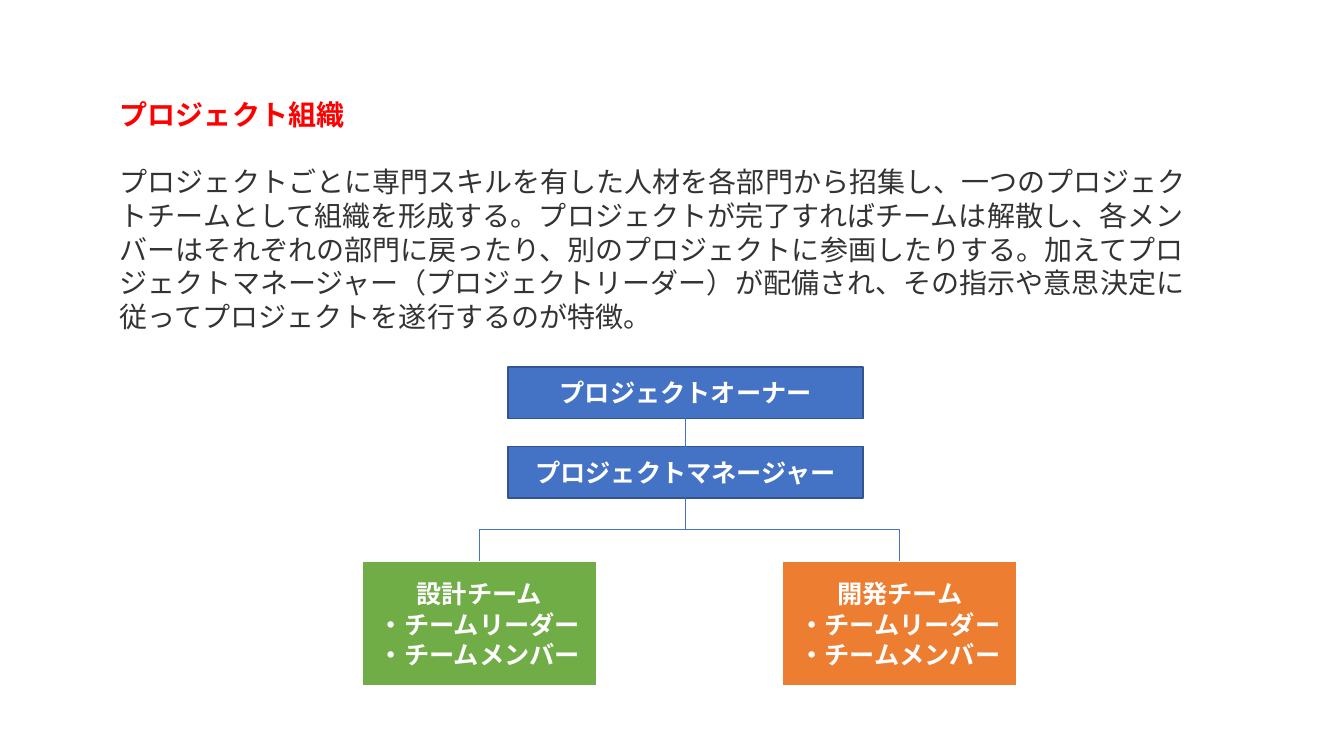
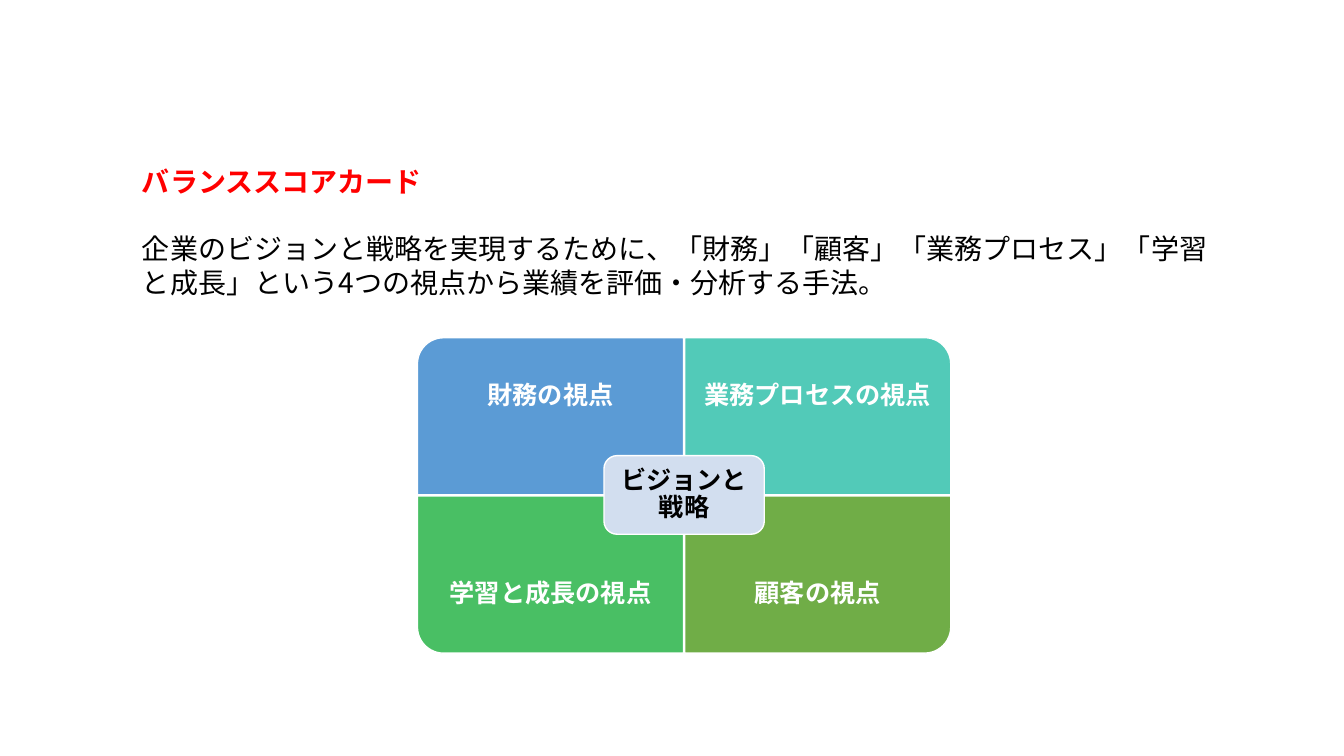
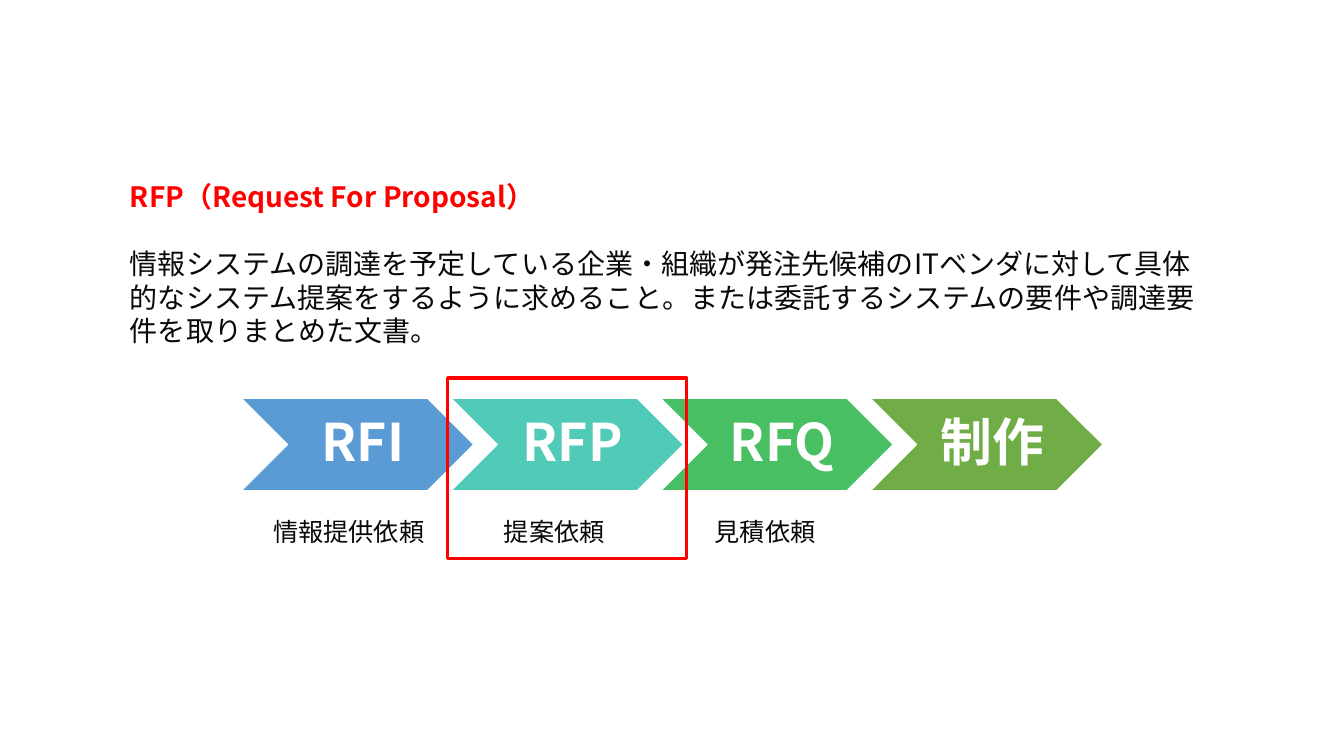
from dataclasses import dataclass

from lxml import etree
from pptx import Presentation
from pptx import util as u
from pptx.dml.color import RGBColor
from pptx.enum import lang, shapes, text
from pptx.oxml.ns import qn

PX = 9144  # 100 px to the inch


@dataclass(frozen=True)
class Theme:
    font: str = "Noto Sans CJK JP"
    heading: str = "FF0000"
    gray: str = "333333"
    ink: str = "090909"
    black: str = "000000"
    white: str = "FFFFFF"
    navy: str = "4472C4"
    navy_edge: str = "325491"
    orange: str = "ED7D31"
    blue: str = "5B9BD5"
    teal: str = "52CAB8"
    green: str = "49BF64"
    olive: str = "70AD47"
    pale: str = "D2DEEF"
    body_size: int = 20
    label_size: int = 18
    step_size: int = 37


theme = Theme()
kinds = shapes.MSO_SHAPE
center = text.PP_ALIGN.CENTER


def place(slide, kind, box, fill, edge, weight):
    """Add a preset shape; box is left, top, width, height in px."""
    shape = slide.shapes.add_shape(kind, *[n * PX for n in box])
    shape.shadow.inherit = False
    if fill:
        shape.fill.solid()
        shape.fill.fore_color.rgb = RGBColor.from_string(fill)
    else:
        shape.fill.background()
    shape.line.color.rgb = RGBColor.from_string(edge)
    shape.line.width = u.Pt(weight)
    return shape


def write(shape, wording, size, color, bold=False, align=None, spacing=None,
          inset=(10, 5, 10, 5)):
    """Fill a shape with one paragraph per line; inset is left, top, right, bottom."""
    frame = shape.text_frame
    frame.text = wording
    frame.word_wrap = True
    frame.margin_left, frame.margin_top, frame.margin_right, frame.margin_bottom = [
        n * PX for n in inset]
    if align:
        frame.vertical_anchor = text.MSO_ANCHOR.MIDDLE
    for paragraph in frame.paragraphs:
        paragraph.alignment = align
        paragraph.line_spacing = spacing
        for run in paragraph.runs:
            run.font.size = u.Pt(size)
            run.font.bold = bold
            run.font.color.rgb = RGBColor.from_string(color)
            run.font.language_id = lang.MSO_LANGUAGE_ID.JAPANESE
            run.font.name = theme.font
            east_asian = etree.SubElement(run.font._element, qn("a:ea"))
            east_asian.set("typeface", theme.font)
    return frame


deck = Presentation()
deck.slide_width, deck.slide_height = 1333 * PX, 750 * PX

# Heading and explanation of each term
terms = [
    ("プロジェクト組織",
     "プロジェクトごとに専門スキルを有した人材を各部門から招集し、一つのプロジェクトチームとして組織を形成する。"
     "プロジェクトが完了すればチームは解散し、各メンバーはそれぞれの部門に戻ったり、別のプロジェクトに参画したりする。"
     "加えてプロジェクトマネージャー（プロジェクトリーダー）が配備され、"
     "その指示や意思決定に従ってプロジェクトを遂行するのが特徴。",
     (109, 92, 1095, 246), theme.gray),
    ("バランススコアカード",
     "企業のビジョンと戦略を実現するために、「財務」「顧客」「業務プロセス」「学習と成長」という"
     "4つの視点から業績を評価・分析する手法。",
     (131, 158, 1095, 145), theme.black),
    ("RFP（Request For Proposal）",
     "情報システムの調達を予定している企業・組織が発注先候補のITベンダに対して具体的なシステム提案をするように求めること。"
     "または委託するシステムの要件や調達要件を取りまとめた文書。",
     (119, 173, 1095, 178), theme.ink),
]
slides = []
for heading, explanation, box, color in terms:
    slide = deck.slides.add_slide(deck.slide_layouts[6])
    slides.append(slide)
    intro = slide.shapes.add_textbox(*[n * PX for n in box])
    frame = write(intro, f"{heading}\n{explanation}", theme.body_size, color)
    frame.auto_size = text.MSO_AUTO_SIZE.SHAPE_TO_FIT_TEXT
    title, body = frame.paragraphs
    title.runs[0].font.bold = True
    title.runs[0].font.color.rgb = RGBColor.from_string(theme.heading)
    body.space_before = u.Pt(24)

organization, scorecard, procurement = slides

# Project organization chart
leads = []
for role, top in (("プロジェクトオーナー", 364), ("プロジェクトマネージャー", 443)):
    lead = place(organization, kinds.FLOWCHART_PROCESS, (504, top, 352, 51),
                 theme.navy, theme.navy_edge, 1)
    write(lead, role, theme.label_size, theme.white, True, center)
    leads.append(lead)
owner, manager = leads

reports = [(owner, manager)]
for team_name, left, fill in (("設計チーム", 359, theme.olive), ("開発チーム", 776, theme.orange)):
    team = place(organization, kinds.FLOWCHART_PROCESS, (left, 557, 233, 124),
                 fill, theme.white, 1.5)
    write(team, f"{team_name}\n・チームリーダー\n・チームメンバー",
          theme.label_size, theme.white, True, center)
    reports.append((manager, team))

for upper, lower in reports:
    straight = upper is owner
    route = shapes.MSO_CONNECTOR.STRAIGHT if straight else shapes.MSO_CONNECTOR.ELBOW
    link = organization.shapes.add_connector(route, 0, 0, 0, 0)
    link.begin_connect(upper, 2)
    link.end_connect(lower, 0)
    link.line.color.rgb = RGBColor.from_string(theme.navy)
    link.line.width = u.Pt(0.5)
    properties = link._element.spPr
    etree.SubElement(properties, qn("a:effectLst"))
    if not straight:
        # A quarter turn makes the elbow leave downwards
        start_x, start_y, end_x, end_y = link.begin_x, link.begin_y, link.end_x, link.end_y
        drop, reach = end_y - start_y, abs(end_x - start_x)
        link.left = (start_x + end_x - drop) // 2
        link.top = (start_y + end_y - reach) // 2
        link.width, link.height = drop, reach
        rightward = end_x > start_x
        properties.xfrm.set("rot", str((270 if rightward else 90) * 60000))
        properties.xfrm.set("flipH", "1" if rightward else "0")

# Four views around the vision
view_width, view_height, caption_height = 264, 156, 117
views = [
    ("財務の視点", theme.blue, 270),
    ("業務プロセスの視点", theme.teal, 0),
    ("学習と成長の視点", theme.green, 180),
    ("顧客の視点", theme.olive, 90),
]
for index, (view, fill, turn) in enumerate(views):
    row, column = divmod(index, 2)
    left = 414 + column * (view_width + 1)
    top = 335 + row * (view_height + 1)
    box = (left, top, view_width, view_height)
    if turn % 180:
        shift = (view_width - view_height) // 2
        box = (left + shift, top - shift, view_height, view_width)
    quadrant = place(scorecard, kinds.ROUND_1_RECTANGLE, box, fill, theme.white, 1)
    quadrant.rotation = turn
    caption_top = top + row * (view_height - caption_height)
    caption = scorecard.shapes.add_textbox(
        left * PX, caption_top * PX, view_width * PX, caption_height * PX)
    write(caption, view, theme.label_size, theme.white, True, center, 0.9, (14, 14, 14, 14))

vision = place(scorecard, kinds.ROUNDED_RECTANGLE, (599, 452, 159, 78),
               theme.pale, theme.white, 1)
write(vision, "ビジョンと戦略", theme.label_size, theme.black, True, center, 0.9, (7, 7, 7, 7))

# Procurement steps
steps = [("RFI", theme.blue), ("RFP", theme.teal), ("RFQ", theme.green), ("制作", theme.olive)]
for index, (step, fill) in enumerate(steps):
    chevron = place(procurement, kinds.CHEVRON, (239 + index * 208, 395, 231, 92),
                    fill, theme.white, 1)
    write(chevron, step, theme.step_size, theme.white, True, center, 0.9, (16, 5, 5, 5))

for request, left, width in (("情報提供依頼", 261, 193), ("提案依頼", 490, 144), ("見積依頼", 699, 144)):
    label = procurement.shapes.add_textbox(left * PX, 507 * PX, width * PX, 40 * PX)
    frame = write(label, request, theme.label_size, theme.ink)
    frame.auto_size = text.MSO_AUTO_SIZE.SHAPE_TO_FIT_TEXT

place(procurement, kinds.FLOWCHART_PROCESS, (444, 375, 237, 179), None, theme.heading, 2.25)

deck.save("out.pptx")
